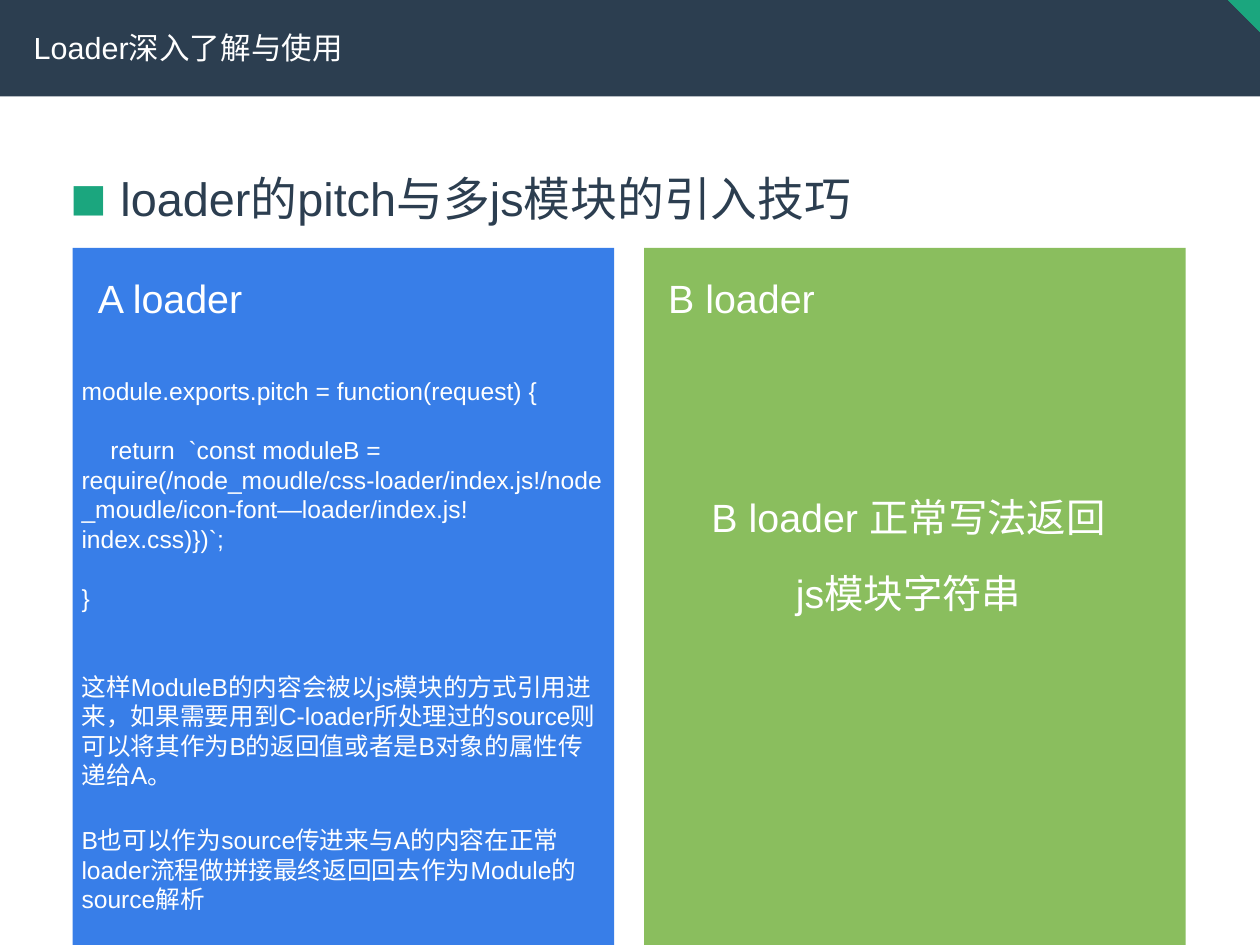
from lxml.etree import SubElement
from pptx import Presentation
from pptx.dml.color import RGBColor
from pptx.enum.shapes import MSO_SHAPE
from pptx.enum.text import MSO_ANCHOR, MSO_AUTO_SIZE, PP_ALIGN
from pptx.oxml.ns import qn
from pptx.util import Inches, Pt

# Colours and font
NAVY = RGBColor(0x2C, 0x3E, 0x50)
GREEN = RGBColor(0x1B, 0xA6, 0x7E)
BLUE = RGBColor(0x38, 0x7E, 0xE8)
LIME = RGBColor(0x8A, 0xBE, 0x5E)
WHITE = RGBColor(0xFF, 0xFF, 0xFF)
FONT = "Arial"

# Content
TITLE = "Loader深入了解与使用"
HEADING = "loader的pitch与多js模块的引入技巧"
PANELS = [("A loader", BLUE), ("B loader", LIME)]
CODE = [
    "module.exports.pitch = function(request) {",
    " return  `const moduleB =  require(/node_moudle/css-loader/index.js!"
    "/node_moudle/icon-font—loader/index.js!index.css)})`;",
    "}",
]
NOTE_PASSING = ["这样ModuleB的内容会被以js模块的方式引用进来，如果需要用到C-loader所处理过的source"
                "则可以将其作为B的返回值或者是B对象的属性传递给A。"]
NOTE_JOINING = ["B也可以作为source传进来与A的内容在正常loader流程做拼接最终返回回去作为Module的source解析"]
RESULT = ["B loader 正常写法返回", "js模块字符串"]

# Layout in inches
SLIDE_WIDTH, SLIDE_HEIGHT = 14.22, 10.67
BAND_TOP, BAND_HEIGHT = -0.02, 1.11
CORNER_SIZE = 1.39
CORNER_SQUARES = [(13.79, -1.05), (13.93, -0.91)]
PANEL_LEFT, PANEL_TOP, PANEL_WIDTH, PANEL_HEIGHT = 0.82, 2.8, 6.11, 7.9
PANEL_GAP = 0.34
LABEL_INSET = 0.16
# text, top, height of the blocks in the left panel
LEFT_BLOCKS = [(CODE, 4.04, 3.08), (NOTE_PASSING, 7.43, 1.64), (NOTE_JOINING, 9.19, 1.25)]


def add_rectangle(left, top, width, height, color):
    shape = slide.shapes.add_shape(
        MSO_SHAPE.RECTANGLE, Inches(left), Inches(top), Inches(width), Inches(height))
    shape.shadow.inherit = False
    shape.fill.solid()
    shape.fill.fore_color.rgb = color
    shape.line.fill.background()
    return shape


def format_frame(frame, wrap=True, anchor=MSO_ANCHOR.MIDDLE):
    frame.margin_left = frame.margin_right = Inches(0.04)
    frame.margin_top = frame.margin_bottom = Inches(0.04)
    frame.word_wrap = wrap
    frame.vertical_anchor = anchor


def add_run(paragraph, text, size, color=WHITE):
    run = paragraph.add_run()
    run.text = text
    run.font.name = FONT
    run.font.size = Pt(size)
    run.font.color.rgb = color


def add_text(lines, left, top, width, height, size, align=PP_ALIGN.LEFT, wrap=True,
             color=WHITE, space=24, anchor=MSO_ANCHOR.MIDDLE):
    box = slide.shapes.add_textbox(Inches(left), Inches(top), Inches(width), Inches(height))
    frame = box.text_frame
    format_frame(frame, wrap, anchor)
    frame.auto_size = MSO_AUTO_SIZE.SHAPE_TO_FIT_TEXT
    for index, line in enumerate(lines):
        paragraph = frame.add_paragraph() if index else frame.paragraphs[0]
        paragraph.alignment = align
        paragraph.space_before = Pt(space)
        add_run(paragraph, line, size, color)
    return frame.paragraphs


def set_indent(paragraph, margin, indent):
    properties = paragraph._p.get_or_add_pPr()
    properties.set("marL", str(Inches(margin)))
    properties.set("indent", str(Inches(indent)))
    return properties


presentation = Presentation()
presentation.slide_width = Inches(SLIDE_WIDTH)
presentation.slide_height = Inches(SLIDE_HEIGHT)
slide = presentation.slides.add_slide(presentation.slide_layouts[5])

# Top band with its corner of two turned squares
add_rectangle(0, BAND_TOP, SLIDE_WIDTH, BAND_HEIGHT, NAVY)
for left, top in CORNER_SQUARES:
    add_rectangle(left, top, CORNER_SIZE, CORNER_SIZE, GREEN).rotation = 315

# Title, brought in front of the band
title = slide.shapes.title
title.left, title.top = Inches(0.34), Inches(0.25)
title.width, title.height = Inches(13.55), Inches(0.56)
format_frame(title.text_frame)
title_paragraph = title.text_frame.paragraphs[0]
title_paragraph.alignment = PP_ALIGN.LEFT
add_run(title_paragraph, TITLE, 24.8)
title.element.getparent().append(title.element)

# Heading with a square bullet
heading = add_text([HEADING], 0.76, 1.88, 10.23, 1.11, 38, color=NAVY, space=14,
                   anchor=MSO_ANCHOR.TOP)[0]
properties = set_indent(heading, 0.56, -0.56)
bullet_color = SubElement(properties, qn("a:buClr"))
SubElement(bullet_color, qn("a:srgbClr"), val=str(GREEN))
SubElement(properties, qn("a:buSzPct"), val="130000")
SubElement(properties, qn("a:buFont"), typeface=FONT)
SubElement(properties, qn("a:buChar"), char="■")

# Panels and their labels
for index, (label, color) in enumerate(PANELS):
    left = PANEL_LEFT + index * (PANEL_WIDTH + PANEL_GAP)
    add_rectangle(left, PANEL_TOP, PANEL_WIDTH, PANEL_HEIGHT, color)
    add_text([label], left + LABEL_INSET, 3.01, 1.88, 0.71, 32, PP_ALIGN.CENTER, wrap=False)

# Right panel text
add_text(RESULT, 7.86, 5.43, 4.79, 1.67, 32, PP_ALIGN.CENTER, wrap=False)

# Left panel text, with the code body indented
for lines, top, height in LEFT_BLOCKS:
    paragraphs = add_text(lines, 0.88, top, 5.98, height, 20)
    if lines is CODE:
        set_indent(paragraphs[1], 0, 0.25)

presentation.save("out.pptx")
